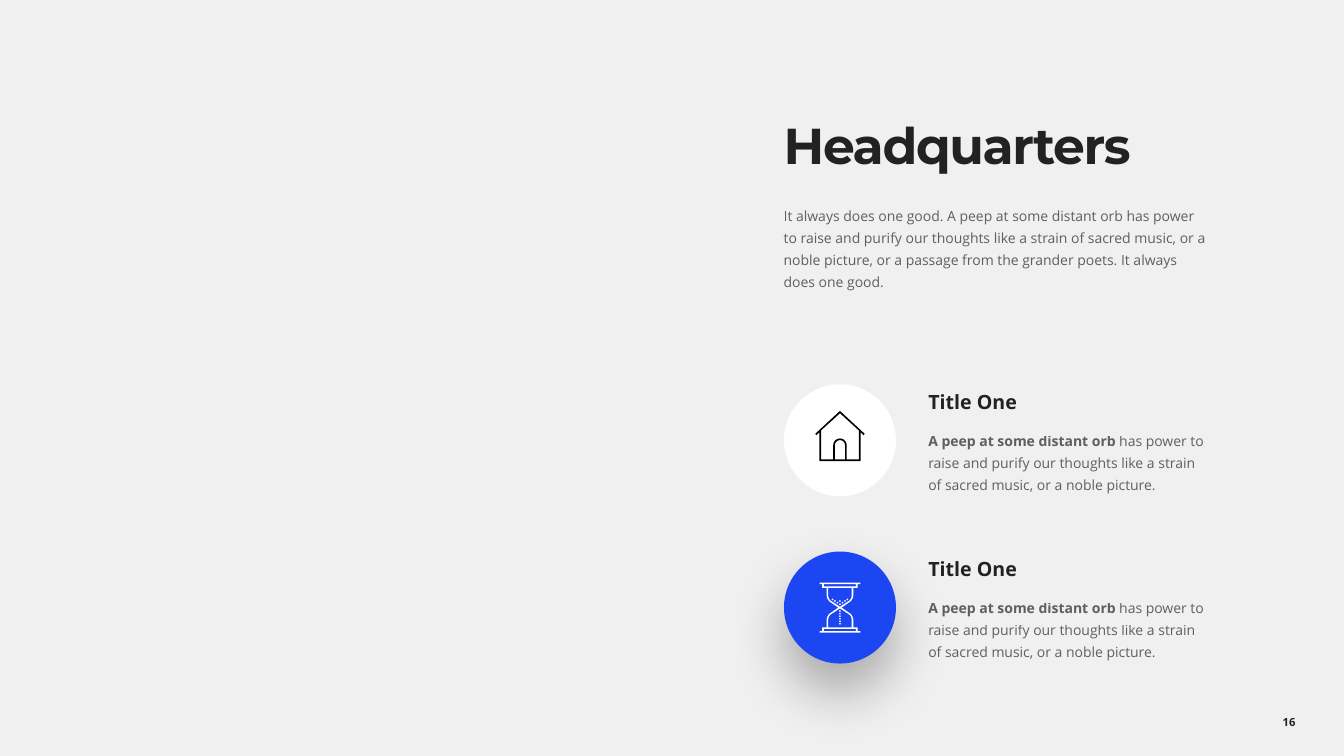
"""Build the Headquarters slide with two icon rows."""
import math
import lxml.etree
import pptx
import pptx.dml.color
import pptx.enum.shapes
import pptx.enum.text
import pptx.oxml.ns
import pptx.util

Pt = pptx.util.Pt
qn = pptx.oxml.ns.qn
SHAPE = pptx.enum.shapes.MSO_SHAPE
TEXT = pptx.enum.text
COLORS = {"back": "F0F0F0", "ink": "222222", "white": "FFFFFF",
          "blue": "1D46F3", "black": "000000"}
RGB = {name: pptx.dml.color.RGBColor.from_string(code) for name, code in COLORS.items()}
HEAD, BODY = "Montserrat", "Open Sans"


def write(box, inset, lines, spacing):
    """Add a text box; each line is a list of (text, font, size, bold, alpha)."""
    shape = deck.shapes.add_textbox(*map(Pt, box))
    frame = shape.text_frame
    frame.word_wrap = True
    (frame.margin_left, frame.margin_top,
     frame.margin_right, frame.margin_bottom) = map(Pt, inset)
    for row, line in enumerate(lines):
        para = frame.add_paragraph() if row else frame.paragraphs[0]
        para.line_spacing = spacing
        if row:
            para.space_before = Pt(10)
        for text, font, size, bold, alpha in line:
            run = para.add_run()
            run.text = text
            run.font.name, run.font.size, run.font.bold = font, Pt(size), bold
            run.font.color.rgb = RGB["ink"]
            if alpha < 100:
                tint = run._r.find(".//" + qn("a:srgbClr"))
                lxml.etree.SubElement(tint, qn("a:alpha"), val=str(alpha * 1000))
    return frame


def mirror(half):
    """Close a right-hand outline with its reflection on the left."""
    return half + [(-x, y) for x, y in reversed(half)]


show = pptx.Presentation()
show.slide_width, show.slide_height = Pt(960), Pt(540)
deck = show.slides.add_slide(show.slide_layouts[6])
deck.background.fill.solid()
deck.background.fill.fore_color.rgb = RGB["back"]

page = write((881.3, 501.1, 79, 28.8), (7.2, 3.6, 7.2, 3.6),
             [[("16", BODY, 8, True, 100)]], 1.0)
page.vertical_anchor = TEXT.MSO_ANCHOR.MIDDLE
page.paragraphs[0].alignment = TEXT.PP_ALIGN.CENTER

title = write((559.8, 74.9, 320.4, 98.6), (0, 15.1, 0, 0),
              [[("Headquarters", HEAD, 36, True, 100)]], 0.8)
title.paragraphs[0].runs[0].font._element.set("spc", "-100")

INSET = (0, 2.9, 17.3, 2.9)
intro = ("It always does one good. A peep at some distant orb has power to raise and "
         "purify our thoughts like a strain of sacred music, or a noble picture, or a "
         "passage from the grander poets. It always does one good.")
frame = write((559.8, 141.8, 320.4, 68.4), INSET, [[(intro, BODY, 10, False, 70)]], 1.3)
frame.auto_size = TEXT.MSO_AUTO_SIZE.SHAPE_TO_FIT_TEXT

arch = [(math.sin(math.radians(a)), -math.cos(math.radians(a))) for a in range(0, 91, 10)]
frame_arch, door_arch = [[(r * x, 3.5 + r * y) for x, y in arch] for r in (4.8, 3.6)]
house = [mirror(half) for half in (
    [(0, -21), (17.6, -4.7), (17, -3.6), (14.7, -5.7), (14.7, 14.8)],
    [(0, -19.3), (13.5, -7), (13.5, 13.6), (4.8, 13.6)] + frame_arch[::-1],
    door_arch + [(3.6, 13.6)])]

side = [(14.6, -17.9), (14.6, -16.8), (12.7, -16.8), (12.7, -14.1), (9.5, -14.1),
        (9.5, -8.5), (9.1, -6.6), (7.8, -4.6), (1.2, 0)]
glass = [mirror(side + [(x, -y) for x, y in side[-2::-1]])]
for half in ([(11.4, -16.8), (11.4, -15.2)],
             [(8.4, -14.1), (8.4, -8.5), (8, -6.6), (7, -5.2), (0, -0.6)]):
    glass += [mirror(half), mirror([(x, -y) for x, y in half])]
sand = [(0, -2.4), (0, -4.7)] + [(0, 2.5 + 1.8 * n) for n in range(6)]
sand += [(way * x, y) for x, y in ((1.8, -3.5), (3.6, -4.7), (5.3, -5.8)) for way in (-1, 1)]
for x, y in sand:
    glass.append([(x + 0.6 * math.cos(n * math.pi / 4), y + 0.6 * math.sin(n * math.pi / 4))
                  for n in range(8)])

for row, (disc, ink, icon) in enumerate((("white", "black", house), ("blue", "white", glass))):
    top = 274.5 + 119.5 * row
    copy = [[("Title One", BODY, 14, True, 100)],
            [("A peep at some distant orb ", BODY, 10, True, 70),
             ("has power to raise and purify our thoughts like a strain of sacred music, "
              "or a noble picture.", BODY, 10, False, 70)]]
    frame = write((663.1, top - 3.8, 218.9, 85), INSET, copy, 1.3)
    frame.auto_size = TEXT.MSO_AUTO_SIZE.SHAPE_TO_FIT_TEXT

    group = deck.shapes.add_group_shape()
    circle = group.shapes.add_shape(SHAPE.OVAL, Pt(560), Pt(top), Pt(80), Pt(80))
    rings = [[(Pt(600 + x), Pt(top + 40 + y)) for x, y in ring] for ring in icon]
    pen = group.shapes.build_freeform(*rings[0][0])
    pen.add_line_segments(rings[0][1:], close=True)
    for ring in rings[1:]:
        pen.move_to(*ring[0])
        pen.add_line_segments(ring[1:], close=True)
    for shape, color in ((circle, disc), (pen.convert_to_shape(), ink)):
        shape.shadow.inherit = False
        shape.fill.solid()
        shape.fill.fore_color.rgb = RGB[color]
        shape.line.fill.background()
    if disc == "blue":
        effect = circle._element.spPr.find(qn("a:effectLst"))
        shade = lxml.etree.SubElement(effect, qn("a:outerShdw"), blurRad=str(Pt(40)),
                                      dist=str(Pt(20)), dir="5400000", rotWithShape="0")
        tint = lxml.etree.SubElement(shade, qn("a:srgbClr"), val=COLORS["black"])
        lxml.etree.SubElement(tint, qn("a:alpha"), val="30000")

show.save("out.pptx")
